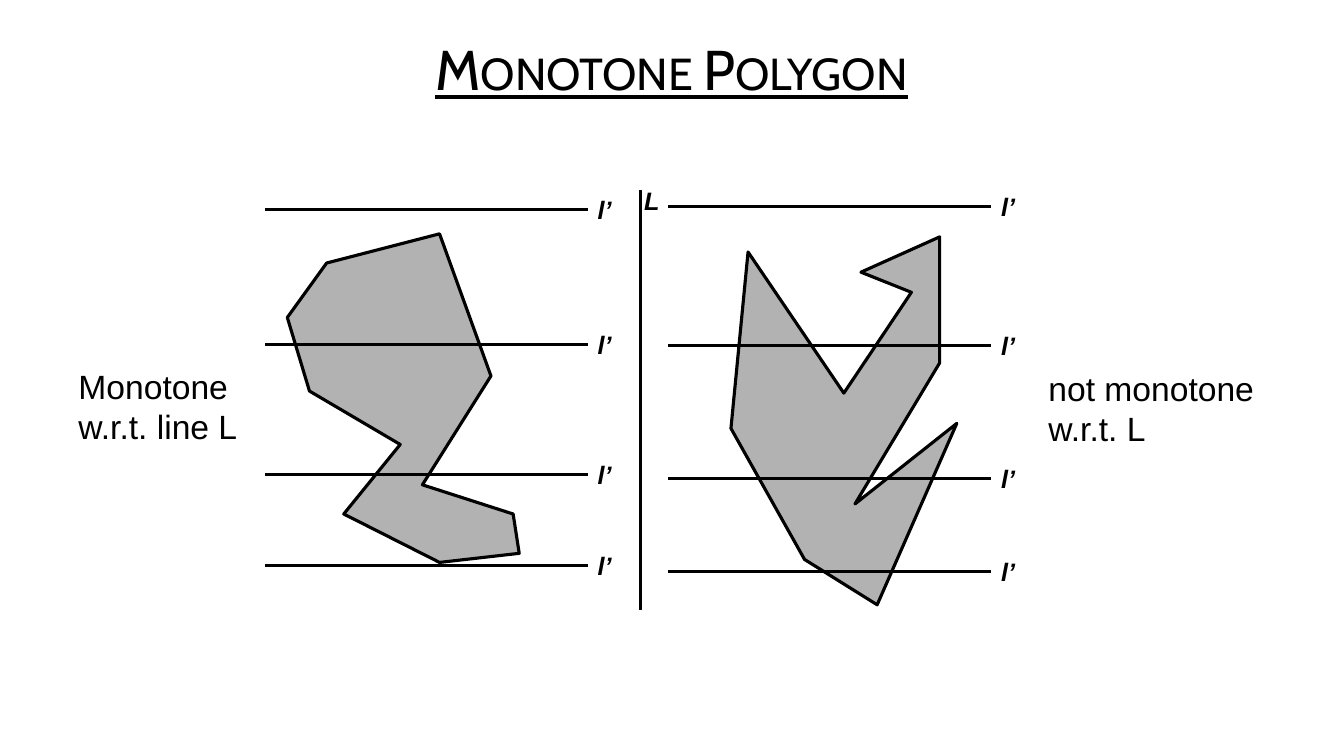
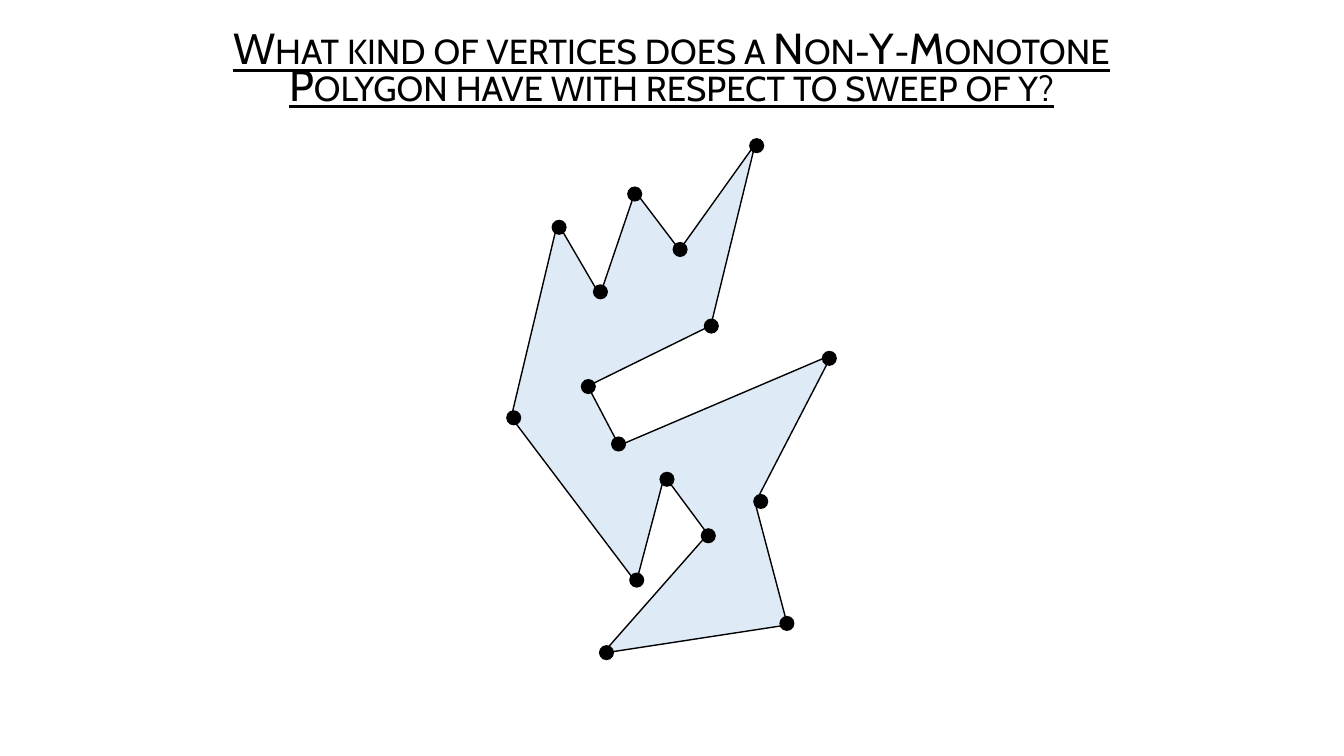
from pptx import Presentation
from pptx.dml.color import RGBColor
from pptx.enum.shapes import MSO_CONNECTOR as Conn, MSO_SHAPE as Shape
from pptx.enum.text import MSO_ANCHOR as Anchor, PP_ALIGN as Align
from pptx.oxml.ns import qn
from pptx.util import Inches, Pt
from lxml import etree

# Shared style
BLACK, GRAY, PALE = "000000", "B2B2B2", "DEEBF7"
BODY, HEAD = "Arial", "Cabin"
THICK, THIN = 2.25, 1
SWEEP, DOT = 3.2, 0.15  # length of a sweep line, width of a dot

# Slide 1: each half has an outline, sweep lines and a note
AXIS = (6.35, 1.89, 6.05)
HALVES = [
    {"poly": [(4.36, 5.58), (3.41, 5.1), (3.97, 4.41), (3.07, 3.88),
              (2.85, 3.15), (3.24, 2.61), (4.36, 2.32), (4.87, 3.73),
              (4.19, 4.81), (5.09, 5.1), (5.15, 5.49)],
     "left": 2.63, "rows": [2.08, 3.42, 4.71, 5.61],
     "note": "Monotone w.r.t. line L", "at": (0.68, 3.58, 1.91, 0.91)},
    {"poly": [(7.42, 2.5), (7.25, 4.25), (7.98, 5.55), (8.7, 6),
              (9.49, 4.2), (8.48, 5), (9.32, 3.6), (9.32, 2.35),
              (8.54, 2.7), (9.04, 2.9), (8.37, 3.9)],
     "left": 6.63, "rows": [2.05, 3.43, 4.75, 5.67],
     "note": "not monotone w.r.t. L", "at": (10.3, 3.6, 2.41, 0.91)},
]

# Slide 2: corner of the outline, then top left of its dot
CORNERS = [
    ((7.49, 1.43), (7.43, 1.37)), ((6.74, 2.48), (6.67, 2.4)),
    ((6.3, 1.9), (6.22, 1.85)), ((5.95, 2.93), (5.88, 2.82)),
    ((5.53, 2.21), (5.47, 2.18)), ((5.07, 4.14), (5.02, 4.07)),
    ((6.31, 5.78), (6.24, 5.68)), ((6.59, 4.72), (6.54, 4.68)),
    ((7.02, 5.3), (6.95, 5.24)), ((5.98, 6.48), (5.94, 6.4)),
    ((7.81, 6.2), (7.73, 6.11)), ((7.49, 4.99), (7.47, 4.9)),
    ((8.25, 3.52), (8.15, 3.48)), ((6.14, 4.42), (6.06, 4.33)),
    ((5.83, 3.83), (5.76, 3.76)), ((7.05, 3.23), (6.98, 3.16)),
]


def color(code):
    return RGBColor.from_string(code)


def paint(shape, fill):
    shape.shadow.inherit = False
    shape.fill.solid()
    shape.fill.fore_color.rgb = color(fill)


def ink(line, width):
    line.color.rgb = color(BLACK)
    line.width = Pt(width)


def text(slide, at, words, size, face=BODY):
    box = slide.shapes.add_textbox(*map(Inches, at))
    box.text_frame.word_wrap = True
    run = box.text_frame.paragraphs[0].add_run()
    run.text = words
    run.font.size, run.font.name = Pt(size), face
    run.font.color.rgb = color(BLACK)
    return box.text_frame, run


def title(slide, words, size, gap):
    frame, run = text(slide, (1.74, 0.29, 9.84, 0.85), words, size, HEAD)
    frame.vertical_anchor = Anchor.MIDDLE
    para = frame.paragraphs[0]
    para.alignment = Align.CENTER
    para.line_spacing, para.space_before = gap, Pt(10)
    run.font.underline = True
    run._r.get_or_add_rPr().set("cap", "small")


def label(slide, at, words):
    _, run = text(slide, at, words, 18)
    run.font.bold = run.font.italic = True


def rule(slide, *ends):
    line = slide.shapes.add_connector(Conn.STRAIGHT, *map(Inches, ends))
    ink(line.line, THICK)
    etree.SubElement(line._element.spPr, qn("a:effectLst"))


def outline(slide, points, fill, width):
    first, *rest = [(Inches(x), Inches(y)) for x, y in points]
    path = slide.shapes.build_freeform(*first)
    path.add_line_segments(rest, close=True)
    shape = path.convert_to_shape()
    paint(shape, fill)
    ink(shape.line, width)


def compare(slide):
    title(slide, "Monotone Polygon", 40, 0.9)
    # Axis L between the halves
    x, top, end = AXIS
    rule(slide, x, top, x, end)
    label(slide, (x - 0.06, top - 0.1, 0.47, 0.5), "L")
    for half in HALVES:
        outline(slide, half["poly"], GRAY, THICK)
        left, right = half["left"], half["left"] + SWEEP
        for y in half["rows"]:
            rule(slide, left, y, right, y)
            label(slide, (right, y - 0.2, 0.62, 0.5), "l’")
        text(slide, half["at"], half["note"], 24)


def vertices(slide):
    title(slide, "What kind of vertices does a Non-Y-Monotone Polygon "
          "have with respect to sweep of y?", 31, 0.7)
    outline(slide, [corner for corner, _ in CORNERS], PALE, THIN)
    # Dots on the corners
    for _, (x, y) in CORNERS:
        dot = slide.shapes.add_shape(
            Shape.OVAL, *map(Inches, (x, y, DOT, DOT)))
        paint(dot, BLACK)
        dot.line.fill.background()


def main():
    deck = Presentation()
    deck.slide_width, deck.slide_height = Inches(13.33), Inches(7.5)
    for build in (compare, vertices):
        build(deck.slides.add_slide(deck.slide_layouts[6]))
    deck.save("out.pptx")


if __name__ == "__main__":
    main()
